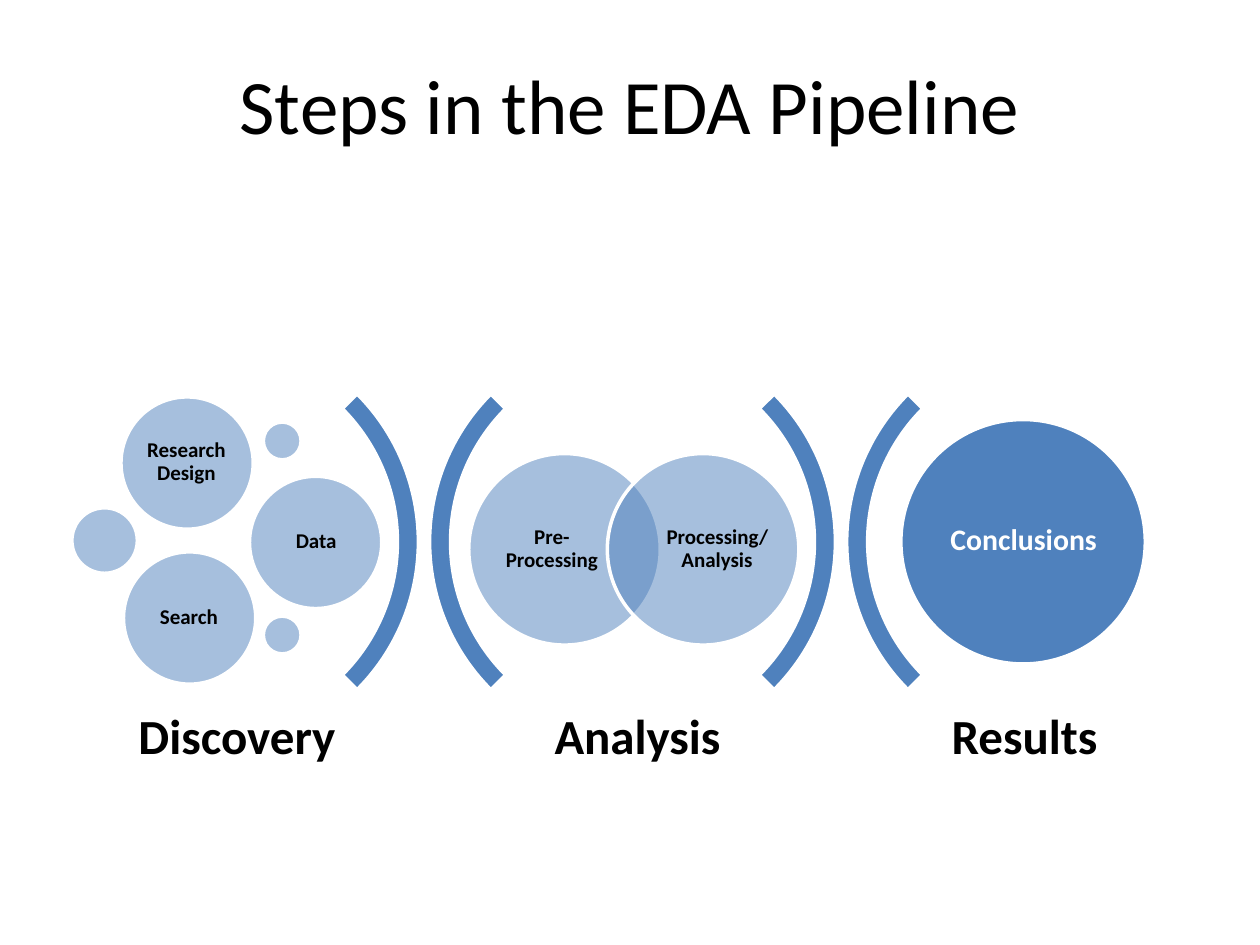
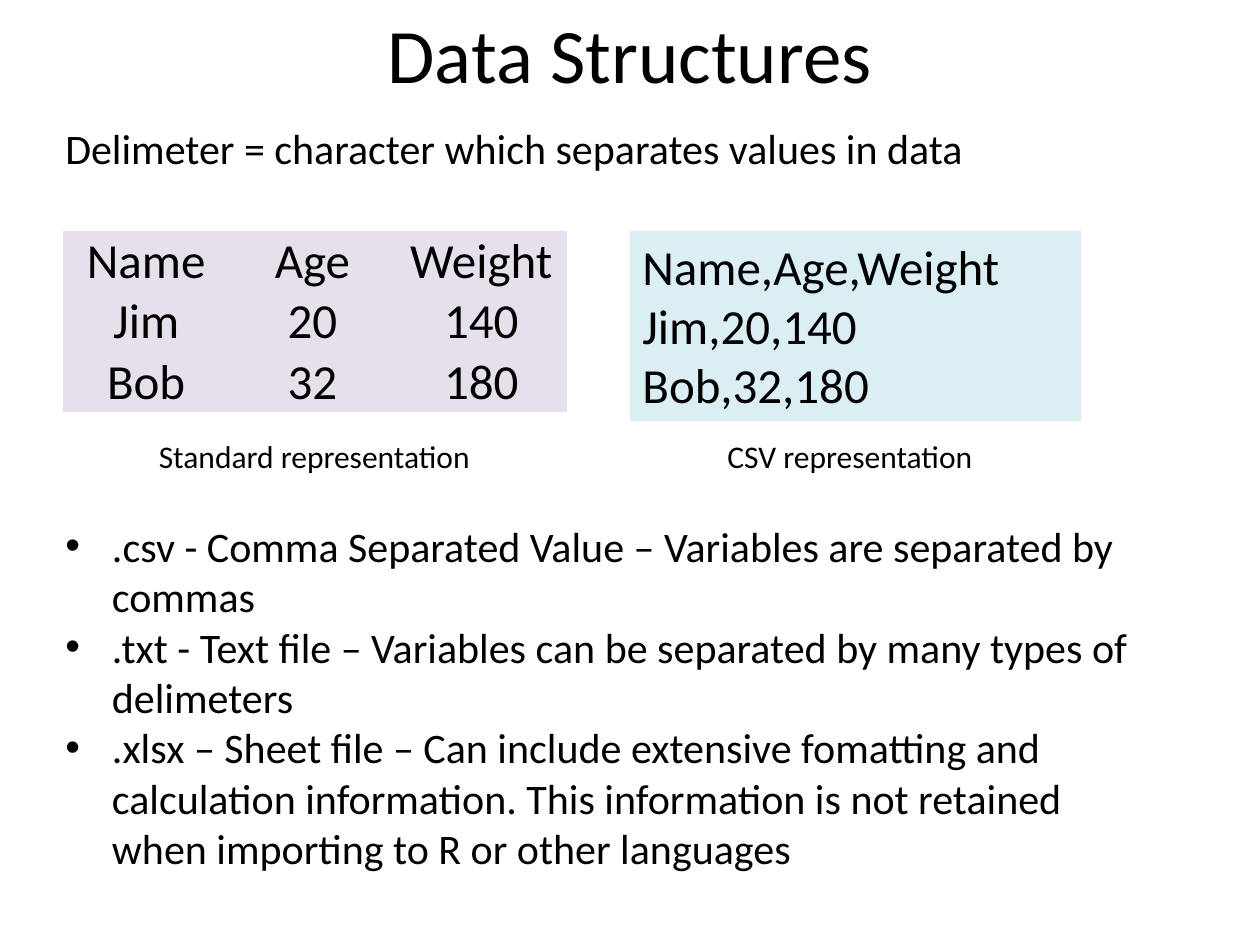
from lxml.etree import SubElement
from pptx import Presentation
from pptx.dml.color import RGBColor
from pptx.enum.shapes import MSO_SHAPE as Preset
from pptx.enum.text import MSO_ANCHOR as Anchor, PP_ALIGN as Align
from pptx.oxml.ns import qn
from pptx.util import Pt

PX = 9144
FONT = "Calibri"
BLACK = RGBColor(0x00, 0x00, 0x00)
WHITE = RGBColor(0xFF, 0xFF, 0xFF)
BLUE = RGBColor(0x4F, 0x81, 0xBD)
LILAC = RGBColor(0xE6, 0xE0, 0xEC)
AQUA = RGBColor(0xDB, 0xEE, 0xF4)
NO_TABLE_STYLE = "{2D5ABB26-0587-4C30-8999-92F81FD0307C}"
TITLE_SIZE = 44


def write_lines(text_frame, lines, size, color=BLACK, bold=False, align=Align.LEFT, spacing=1.0):
    for index, line in enumerate(lines):
        paragraph = text_frame.paragraphs[0] if index == 0 else text_frame.add_paragraph()
        paragraph.alignment = align
        paragraph.line_spacing = spacing
        run = paragraph.add_run()
        run.text = line
        run.font.name = FONT
        run.font.size = Pt(size)
        run.font.bold = bold
        run.font.color.rgb = color


def add_text(slide, box, lines, size, anchor=Anchor.TOP, inset=None, **style):
    shape = slide.shapes.add_textbox(*[value * PX for value in box])
    text_frame = shape.text_frame
    text_frame.word_wrap = True
    text_frame.vertical_anchor = anchor
    if inset is not None:
        text_frame.margin_left = text_frame.margin_right = inset * PX
        text_frame.margin_top = text_frame.margin_bottom = inset * PX
    write_lines(text_frame, lines, size, **style)
    return text_frame


presentation = Presentation()
presentation.slide_width = 1000 * PX
presentation.slide_height = 750 * PX
blank_layout = presentation.slide_layouts[6]

pipeline_slide = presentation.slides.add_slide(blank_layout)
structures_slide = presentation.slides.add_slide(blank_layout)

for slide, title, box in [
    (pipeline_slide, "Steps in the EDA Pipeline", (0, 0, 1000, 165)),
    (structures_slide, "Data Structures", (50, 0, 900, 83)),
]:
    add_text(slide, box, [title], TITLE_SIZE, anchor=Anchor.MIDDLE, align=Align.CENTER)

ARC_SIZE = 332
pipeline_shapes = []
for left, rotation in [(0, 90), (341, 270), (331, 90), (672, 270)]:
    arc = pipeline_slide.shapes.add_shape(
        Preset.BLOCK_ARC, left * PX, 264 * PX, ARC_SIZE * PX, ARC_SIZE * PX)
    arc.rotation = rotation
    for index, value in enumerate((135, 189, 0.05)):
        arc.adjustments[index] = value
    pipeline_shapes.append((arc, 100))

for left, top, diameter, opacity in [
    (372, 360, 152, 50),
    (482, 360, 152, 50),
    (96, 315, 105, 50),
    (57, 403, 52, 50),
    (209, 335, 30, 50),
    (198, 378, 105, 50),
    (209, 489, 30, 50),
    (98, 438, 105, 50),
    (715, 333, 194, 100),
]:
    circle = pipeline_slide.shapes.add_shape(
        Preset.OVAL, left * PX, top * PX, diameter * PX, diameter * PX)
    pipeline_shapes.append((circle, opacity))

for shape, opacity in pipeline_shapes:
    shape.shadow.inherit = False
    shape.fill.solid()
    shape.fill.fore_color.rgb = BLUE
    shape.line.color.rgb = WHITE
    shape.line.width = Pt(2)
    if opacity < 100:
        fill_color = shape.element.spPr.find(qn("a:solidFill")).find(qn("a:srgbClr"))
        SubElement(fill_color, qn("a:alpha"), val=str(opacity * 1000))

for label, box, size, inset, color in [
    ("Pre-Processing", (394, 378, 88, 116), 12, 0, BLACK),
    ("Processing/Analysis", (525, 378, 88, 116), 12, 0, BLACK),
    ("Research Design", (111, 330, 74, 74), 12, 5, BLACK),
    ("Data", (214, 393, 74, 74), 12, 5, BLACK),
    ("Search", (113, 453, 74, 74), 12, 5, BLACK),
    ("Conclusions", (744, 361, 137, 137), 17, 7, WHITE),
    ("Discovery", (62, 553, 252, 66), 28, 12, BLACK),
    ("Analysis", (380, 553, 252, 66), 28, 12, BLACK),
    ("Results", (687, 553, 252, 66), 28, 12, BLACK),
]:
    add_text(pipeline_slide, box, [label], size, anchor=Anchor.MIDDLE, inset=inset,
             color=color, bold=True, align=Align.CENTER, spacing=0.9)

records = [("Name", "Age", "Weight"), ("Jim", "20", "140"), ("Bob", "32", "180")]

table_frame = structures_slide.shapes.add_table(3, 3, 50 * PX, 183 * PX, 400 * PX, 144 * PX)
table = table_frame.table
table.first_row = False
table.horz_banding = False
for style_id in table_frame.element.iter(qn("a:tableStyleId")):
    style_id.text = NO_TABLE_STYLE
for column, width in zip(table.columns, (132, 132, 136)):
    column.width = width * PX
for row_index, record in enumerate(records):
    for column_index, value in enumerate(record):
        cell = table.cell(row_index, column_index)
        cell.fill.solid()
        cell.fill.fore_color.rgb = LILAC
        cell.vertical_anchor = Anchor.BOTTOM
        cell.margin_left = cell.margin_right = cell.margin_top = PX
        cell.margin_bottom = 0
        write_lines(cell.text_frame, [value], 28, align=Align.CENTER)

csv_box = structures_slide.shapes.add_shape(
    Preset.RECTANGLE, 500 * PX, 183 * PX, 358 * PX, 151 * PX)
csv_box.shadow.inherit = False
csv_box.fill.solid()
csv_box.fill.fore_color.rgb = AQUA
csv_box.line.fill.background()
csv_box.text_frame.word_wrap = True
csv_box.text_frame.vertical_anchor = Anchor.TOP
write_lines(csv_box.text_frame, [",".join(record) for record in records], 28)

add_text(structures_slide, (42, 92, 917, 50),
         ["Delimeter = character which separates values in data"], 24)
for left, caption in [(83, "Standard representation"), (508, "CSV representation")]:
    add_text(structures_slide, (left, 342, 333, 40), [caption], 18, align=Align.CENTER)

file_formats = add_text(structures_slide, (42, 408, 875, 293), [
    ".csv - Comma Separated Value – Variables are separated by commas",
    ".txt - Text file – Variables can be separated by many types of delimeters",
    ".xlsx – Sheet file – Can include extensive fomatting and calculation information. "
    "This information is not retained when importing to R or other languages",
], 24)
for paragraph in file_formats.paragraphs:
    properties = paragraph._p.get_or_add_pPr()
    properties.set("marL", str(37 * PX))
    properties.set("indent", str(-37 * PX))
    SubElement(properties, qn("a:buFont"), typeface="Arial")
    SubElement(properties, qn("a:buChar"), char="•")

presentation.save("out.pptx")
